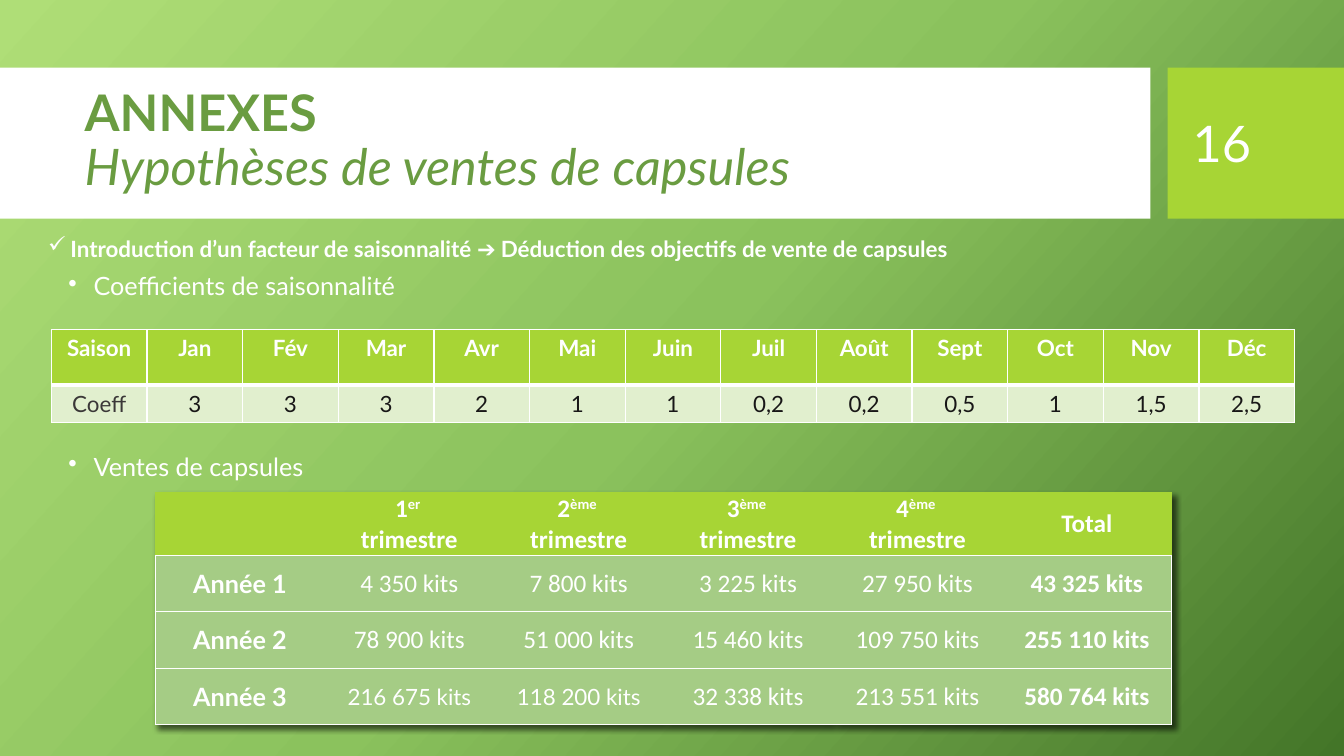
from copy import deepcopy
from dataclasses import dataclass

from lxml.etree import SubElement
from pptx import Presentation
from pptx.dml.color import RGBColor
from pptx.enum.shapes import MSO_SHAPE
from pptx.enum.text import MSO_ANCHOR, MSO_AUTO_SIZE, PP_ALIGN
from pptx.oxml import parse_xml
from pptx.oxml.ns import nsdecls, qn
from pptx.util import Emu, Pt

COLORS = {
    "white": "FFFFFF", "lime": "A7D535", "title": "6A9C41", "sage": "A5CC85",
    "pale": "E1EFCE", "label": "3B3838", "value": "181717",
}
BACKGROUND = [(0, "AFDE77"), (0.5, "8BC25D"), (1, "437528")]
NO_STYLE = "{2D5ABB26-0587-4C30-8999-92F81FD0307C}"
MONTHS = ["Jan", "Fév", "Mar", "Avr", "Mai", "Juin", "Juil", "Août", "Sept", "Oct", "Nov", "Déc"]
COEFFICIENTS = ["3", "3", "3", "2", "1", "1", "0,2", "0,2", "0,5", "1", "1,5", "2,5"]
ORDINALS = ["er", "ème", "ème", "ème"]
SALES = [
    ["4 350 kits", "7 800 kits", "3 225 kits", "27 950 kits", "43 325 kits"],
    ["78 900 kits", "51 000 kits", "15 460 kits", "109 750 kits", "255 110 kits"],
    ["216 675 kits", "118 200 kits", "32 338 kits", "213 551 kits", "580 764 kits"],
]


@dataclass(frozen=True)
class Area:
    left: int
    top: int
    width: int
    height: int

    def emu(self) -> list[Emu]:
        return [px(side) for side in (self.left, self.top, self.width, self.height)]


@dataclass(frozen=True)
class Span:
    text: str
    size: int = 18
    color: str = "white"
    font: str = "Lato"
    bold: bool = False
    italic: bool = False
    raised: bool = False


@dataclass(frozen=True)
class Bullet:
    area: Area
    symbol: str
    margin: int
    hanging: int
    spacing: float
    span: Span


@dataclass(frozen=True)
class Edge:
    color: str = "white"
    width: int = 1


PANELS = [(Area(0, 67, 1141, 150), "white"), (Area(1158, 67, 175, 150), "lime")]
BULLETS = [
    Bullet(Area(58, 267, 455, 52), "•", 25, 25, 0.9, Span("Coefficients de saisonnalité")),
    Bullet(Area(58, 446, 455, 52), "•", 25, 25, 0.9, Span("Ventes de capsules")),
    Bullet(Area(10, 228, 1106, 37), "✓", 50, 22, 1.0, Span(
        "Introduction d’un facteur de saisonnalité ➔ Déduction des objectifs de vente de capsules",
        16, bold=True)),
]


def px(length: int) -> Emu:
    return Emu(length * 9144)


def add_span(para, span: Span) -> None:
    run = para.add_run()
    run.text = span.text
    font = run.font
    font.name, font.size = span.font, Pt(span.size)
    font.bold, font.italic = span.bold, span.italic
    font.color.rgb = RGBColor.from_string(COLORS[span.color])
    if span.raised:
        run._r.get_or_add_rPr().set("baseline", "30000")


def paint_background(page) -> None:
    fill = page.background.fill
    fill.gradient()
    last = fill.gradient_stops[1]._gs
    last.addprevious(deepcopy(last))
    for stop, (position, color) in zip(fill.gradient_stops, BACKGROUND):
        stop.position = position
        stop.color.rgb = RGBColor.from_string(color)
    fill.gradient_angle = 360 - 42


def add_panel(page, area: Area, color: str) -> None:
    panel = page.shapes.add_shape(MSO_SHAPE.RECTANGLE, *area.emu())
    panel.shadow.inherit = False
    panel.fill.solid()
    panel.fill.fore_color.rgb = RGBColor.from_string(COLORS[color])
    panel.line.fill.background()


def fill_title(page) -> None:
    title = page.shapes.title
    page.shapes._spTree.append(title._element)
    title.left, title.top, title.width, title.height = Area(74, 82, 1051, 118).emu()
    frame = title.text_frame
    frame.word_wrap, frame.auto_size = True, MSO_AUTO_SIZE.NONE
    frame.vertical_anchor = MSO_ANCHOR.MIDDLE
    para = frame.paragraphs[0]
    para.alignment, para.line_spacing = PP_ALIGN.LEFT, 0.9
    add_span(para, Span("ANNEXES", 36, "title", bold=True))
    para.add_line_break()
    add_span(para, Span("Hypothèses de ventes de capsules", 36, "title", italic=True))


def add_box(page, area: Area):
    frame = page.shapes.add_textbox(*area.emu()).text_frame
    frame.word_wrap = True
    return frame


def add_bullet(page, bullet: Bullet) -> None:
    para = add_box(page, bullet.area).paragraphs[0]
    para.line_spacing = bullet.spacing
    properties = para._p.get_or_add_pPr()
    properties.set("marL", str(px(bullet.margin)))
    properties.set("indent", str(-px(bullet.hanging)))
    SubElement(properties, qn("a:buChar")).set("char", bullet.symbol)
    add_span(para, bullet.span)


def add_grid(page, area: Area, heights: list[int], columns: int):
    table = page.shapes.add_table(len(heights), columns, *area.emu()).table
    table._tbl.tblPr.find(qn("a:tableStyleId")).text = NO_STYLE
    for column in table.columns:
        column.width = px(area.width) // columns
    for row, height in zip(table.rows, heights):
        row.height = px(height)
    return table


def fill_cell(cell, lines: list[list[Span]], color: str, edges: dict[str, Edge]) -> None:
    for index, spans in enumerate(lines):
        frame = cell.text_frame
        para = frame.add_paragraph() if index else frame.paragraphs[0]
        para.alignment = PP_ALIGN.CENTER
        for span in spans:
            add_span(para, span)
    cell.fill.solid()
    cell.fill.fore_color.rgb = RGBColor.from_string(COLORS[color])
    sides = [side for side in "LRTB" if side in edges]
    for index, side in enumerate(sides):
        edge = edges[side]
        cell._tc.get_or_add_tcPr().insert(index, parse_xml(
            f'<a:ln{side} {nsdecls("a")} w="{Pt(edge.width)}"><a:solidFill>'
            f'<a:srgbClr val="{COLORS[edge.color]}"/></a:solidFill></a:ln{side}>'))


def add_season_table(page) -> None:
    table = add_grid(page, Area(51, 327, 1233, 92), [55, 37], 13)
    thin, thick = Edge(), Edge(width=3)
    for column, (month, value) in enumerate(zip(["Saison"] + MONTHS, ["Coeff"] + COEFFICIENTS)):
        sides = {"L": thin, "R": thin}
        fill_cell(table.cell(0, column), [[Span(month, 16, bold=True)]], "lime",
                  sides | {"T": thin, "B": thick})
        fill_cell(table.cell(1, column), [[Span(value, 16, "value" if column else "label")]], "pale",
                  sides | {"T": thick, "B": thin})


def add_sales_table(page) -> None:
    table = add_grid(page, Area(154, 489, 1008, 230), [62, 56, 56, 56], 6)
    table._tbl.tblPr.insert(0, parse_xml(
        f'<a:effectLst {nsdecls("a")}><a:outerShdw blurRad="50800" dist="38100" dir="2700000">'
        '<a:srgbClr val="000000"><a:alpha val="60000"/></a:srgbClr></a:outerShdw></a:effectLst>'))
    heading = {"font": "Calibri", "bold": True}
    headers = [[]]
    for number, suffix in enumerate(ORDINALS, 1):
        headers.append([[Span(str(number), **heading), Span(suffix + " ", raised=True, **heading)],
                        [Span("trimestre", **heading)]])
    headers.append([[Span("Total", **heading)]])
    rows = [headers]
    for year, sales in enumerate(SALES, 1):
        cells = [[[Span(f"Année {year}", bold=True)]]]
        for quarter, amount in enumerate(sales, 1):
            small = year == 3 and quarter <= 2
            cells.append([[Span(amount, 16 if small else 18, font="Lato" if small else "Calibri",
                                bold=quarter == 5)]])
        rows.append(cells)
    for row, cells in enumerate(rows):
        outer = Edge() if row else Edge("lime")
        for column, lines in enumerate(cells):
            edges = {"T": outer, "B": Edge()}
            if column in (0, 5):
                edges["R" if column else "L"] = outer
            cell = table.cell(row, column)
            cell.vertical_anchor = MSO_ANCHOR.MIDDLE
            cell.margin_left = cell.margin_right = px(7)
            cell.margin_top = cell.margin_bottom = 0
            fill_cell(cell, lines, "sage" if row else "lime", edges)


def main() -> None:
    deck = Presentation()
    deck.slide_width, deck.slide_height = px(1333), px(750)
    page = deck.slides.add_slide(deck.slide_layouts[5])
    paint_background(page)
    for area, color in PANELS:
        add_panel(page, area, color)
    fill_title(page)
    number = add_box(page, Area(1173, 82, 126, 119))
    number.vertical_anchor = MSO_ANCHOR.MIDDLE
    add_span(number.paragraphs[0], Span("16", 36))
    add_sales_table(page)
    add_season_table(page)
    for bullet in BULLETS:
        add_bullet(page, bullet)
    deck.save("out.pptx")


if __name__ == "__main__":
    main()
